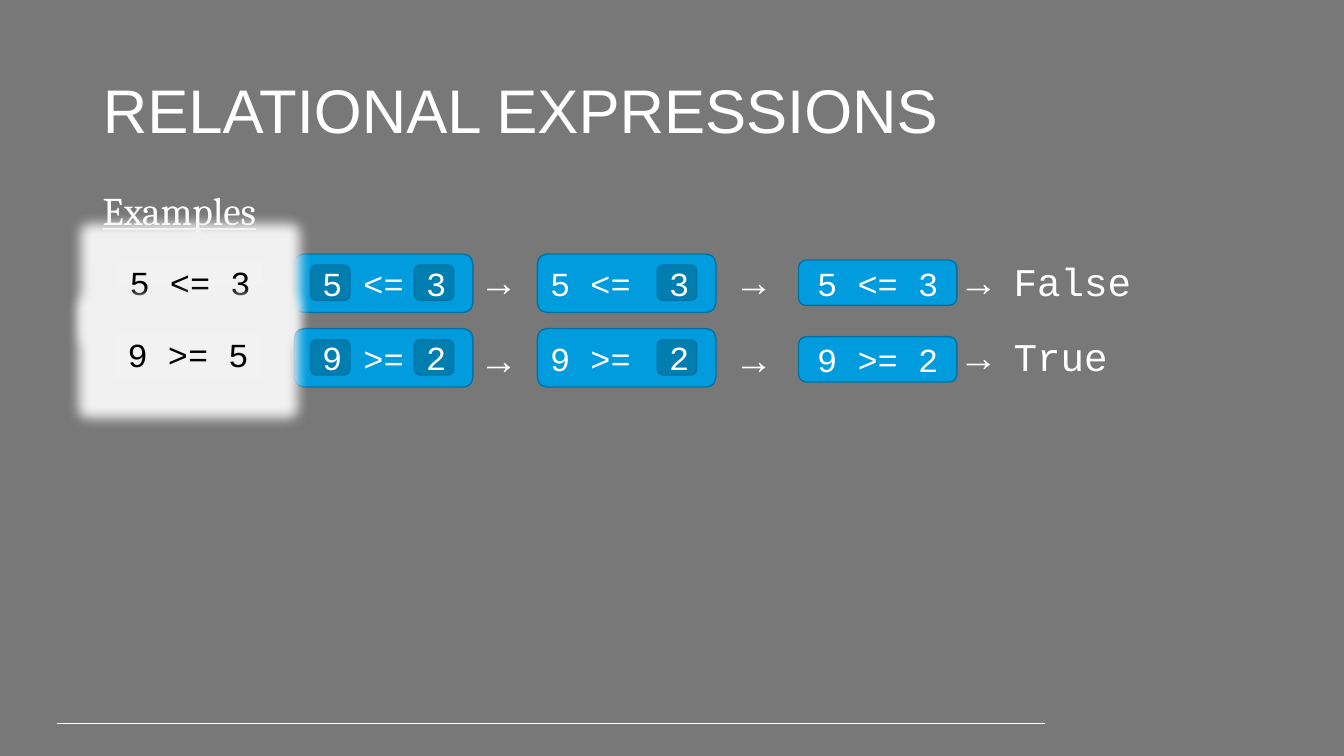
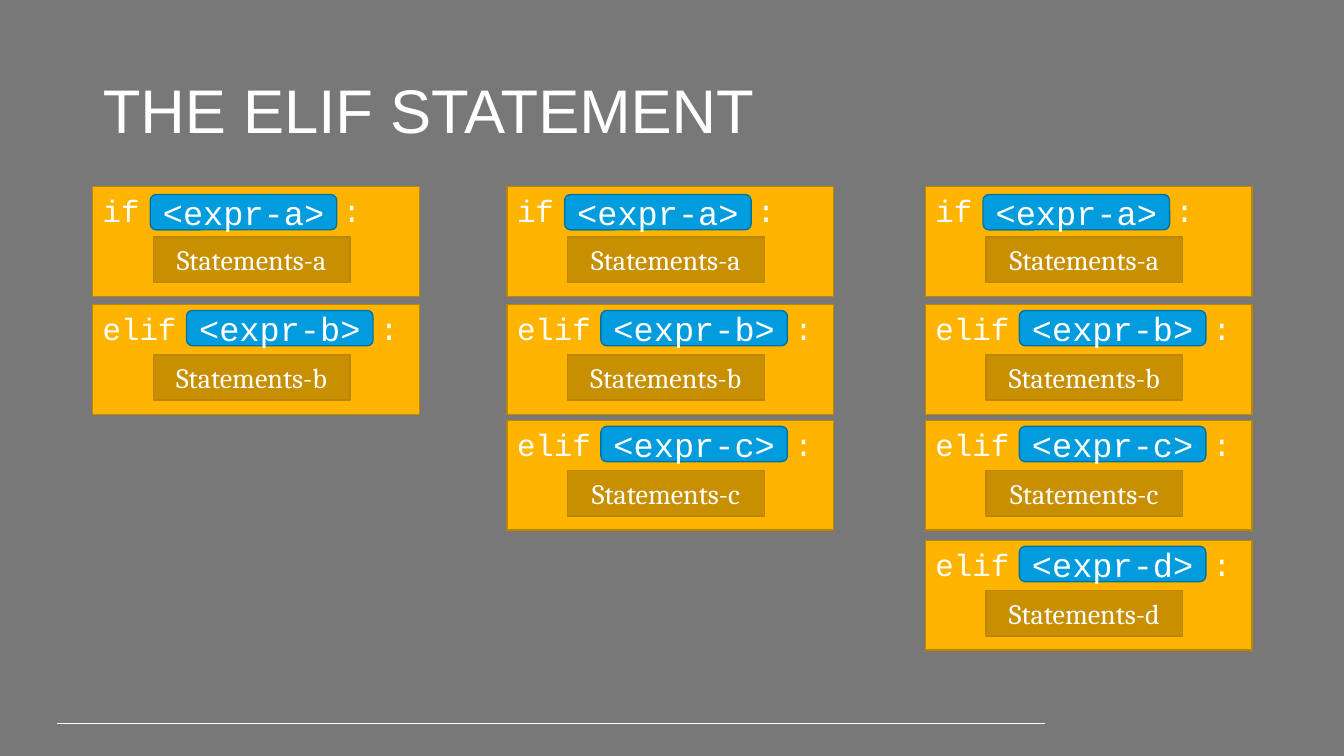
from lxml import etree
from pptx import Presentation
from pptx.dml.color import RGBColor
from pptx.enum import shapes, text
from pptx.oxml import ns
from pptx.util import Inches, Pt

GREY = RGBColor(0x78, 0x78, 0x78)
WHITE = RGBColor(0xFF, 0xFF, 0xFF)
BLACK = RGBColor(0, 0, 0)
PALE = RGBColor(0xF2, 0xF2, 0xF2)
BLUE = RGBColor(0x00, 0x9C, 0xDE)
DEEP = RGBColor(0x00, 0x7E, 0xB0)
NAVY = RGBColor(0x00, 0x73, 0xA4)
GOLD = RGBColor(0xFF, 0xB5, 0x00)
OCHRE = RGBColor(0xC8, 0x8F, 0x00)
BROWN = RGBColor(0xBD, 0x86, 0x00)

SANS, SERIF, MONO = "Arial", "Cambria", "Courier New"
RECT = shapes.MSO_SHAPE.RECTANGLE
ROUND = shapes.MSO_SHAPE.ROUNDED_RECTANGLE
LEFT, MID = text.PP_ALIGN.LEFT, text.PP_ALIGN.CENTER
TOP, CENTRE = text.MSO_ANCHOR.TOP, text.MSO_ANCHOR.MIDDLE

# Plain text, left operand, operator, right operand, result
ROWS = [
    ("5 <= 3", "5", "<=", "3", "False"),
    ("9 >= 5", "9", ">=", "2", "True"),
]

# Left edge of each chain and the letters of its branches
CHAINS = [(0.92, "ab"), (5.03, "abc"), (9.18, "abcd")]
TOPS = [1.85, 3.02, 4.17, 5.36]
# Keyword: offset of the expression (across, down), tab stop of the colon
WORDS = {"if": (0.57, 0.08, 2.38), "elif": (0.93, 0.06, 2.75)}


def write(frame, words, size, font=MONO, colour=WHITE, align=LEFT):
    para = frame.paragraphs[0]
    para.alignment = align
    run = para.add_run()
    run.text = words
    run.font.size = Pt(size)
    run.font.name = font
    run.font.color.rgb = colour
    return para


def loosen(frame, para):
    """Give free text its line spacing and let its frame grow."""
    frame.auto_size = text.MSO_AUTO_SIZE.SHAPE_TO_FIT_TEXT
    para.line_spacing = 0.9
    para.space_before = Pt(10)


def box(slide, kind, place, fill, edge, words, size=24, font=MONO,
        colour=WHITE, align=MID, anchor=CENTRE):
    shape = slide.shapes.add_shape(kind, *map(Inches, place))
    shape.shadow.inherit = False
    shape.fill.solid()
    shape.fill.fore_color.rgb = fill
    if edge is None:
        shape.line.fill.background()
    else:
        shape.line.color.rgb = edge
        shape.line.width = Pt(1)
    frame = shape.text_frame
    frame.word_wrap = True
    frame.vertical_anchor = anchor
    write(frame, words, size, font, colour, align)
    return shape


def label(slide, place, words, font=MONO):
    frame = slide.shapes.add_textbox(*map(Inches, place)).text_frame
    frame.word_wrap = True
    para = write(frame, words, 28, font)
    loosen(frame, para)
    return para.runs[0]


def glow(shape, colour, radius):
    effects = shape.element.spPr.find(ns.qn("a:effectLst"))
    halo = etree.SubElement(effects, ns.qn("a:glow"), rad=str(Inches(radius)))
    etree.SubElement(halo, ns.qn("a:srgbClr"), val=str(colour))


def tab(para, stop):
    stops = etree.SubElement(para._p.get_or_add_pPr(), ns.qn("a:tabLst"))
    etree.SubElement(stops, ns.qn("a:tab"), pos=str(Inches(stop)), algn="l")


def dress(deck, layout, slide):
    """Set the shared background, title place and footer rule."""
    master = deck.slide_master
    master.background.fill.solid()
    master.background.fill.fore_color.rgb = GREY
    title = layout.placeholders[0]
    title.left, title.top = Inches(0.92), Inches(0.4)
    title.width, title.height = Inches(11.5), Inches(1.45)
    rule = slide.shapes.add_connector(
        shapes.MSO_CONNECTOR.STRAIGHT,
        Inches(0.57), Inches(7.18), Inches(10.36), Inches(7.18))
    rule.line.color.rgb = WHITE
    rule.line.width = Pt(0.75)
    etree.SubElement(rule.element.spPr, ns.qn("a:effectLst"))
    master.shapes.element.append(rule.element)


def head(slide, words):
    frame = slide.shapes.title.text_frame
    frame.vertical_anchor = CENTRE
    write(frame, words, 44, SANS).line_spacing = 0.9


def relate(slide):
    head(slide, "RELATIONAL EXPRESSIONS")
    label(slide, (0.92, 1.85, 3.8, 0.54), "Examples", SERIF).font.underline = True
    for i, (plain, a, op, b, result) in enumerate(ROWS):
        top = 2.52 + 0.74 * i

        def cell(left, words):
            box(slide, ROUND, (left, top + 0.11, 0.39, 0.35), DEEP, NAVY,
                words, align=LEFT)

        box(slide, ROUND, (2.92, top, 1.77, 0.58), BLUE, NAVY, op)
        cell(3.08, a)
        cell(4.11, b)
        box(slide, ROUND, (5.33, top, 1.77, 0.58), BLUE, NAVY,
            f"{a} {op}", align=LEFT)
        cell(6.52, b)
        box(slide, ROUND, (7.92, 2.58 + 0.76 * i, 1.57, 0.45), BLUE, NAVY,
            f"{a} {op} {b}")
        for left in (4.73, 7.26):
            label(slide, (left, 2.56 + 0.77 * i, 0.59, 0.54), "→")
        label(slide, (9.49, top + 0.04, 2, 0.54), f"→ {result}")
        start = box(slide, RECT, (1.17 - 0.02 * i, 2.59 + 0.72 * i, 1.43, 0.46),
                    PALE, None, plain, colour=BLACK, anchor=TOP)
        loosen(start.text_frame, start.text_frame.paragraphs[0])
        glow(start, PALE, 0.25)


def branch(slide):
    head(slide, "THE ELIF STATEMENT")
    for left, letters in CHAINS:
        for top, letter in zip(TOPS, letters):
            word = "if" if letter == "a" else "elif"
            across, down, stop = WORDS[word]
            block = box(slide, RECT, (left, top, 3.24, 1.09), GOLD, BROWN,
                        f"{word}\t:", 22, align=LEFT, anchor=TOP)
            tab(block.text_frame.paragraphs[0], stop)
            box(slide, ROUND, (left + across, top + down, 1.85, 0.35),
                BLUE, NAVY, f"<expr-{letter}>")
            box(slide, RECT, (left + 0.6, top + 0.5, 1.95, 0.45),
                OCHRE, BROWN, f"Statements-{letter}", 20, SERIF)


def main():
    deck = Presentation()
    deck.slide_width, deck.slide_height = Inches(13.33), Inches(7.5)
    layout = deck.slide_layouts.get_by_name("Title Only")
    first, second = (deck.slides.add_slide(layout) for _ in range(2))
    dress(deck, layout, first)
    relate(first)
    branch(second)
    deck.save("out.pptx")


if __name__ == "__main__":
    main()
